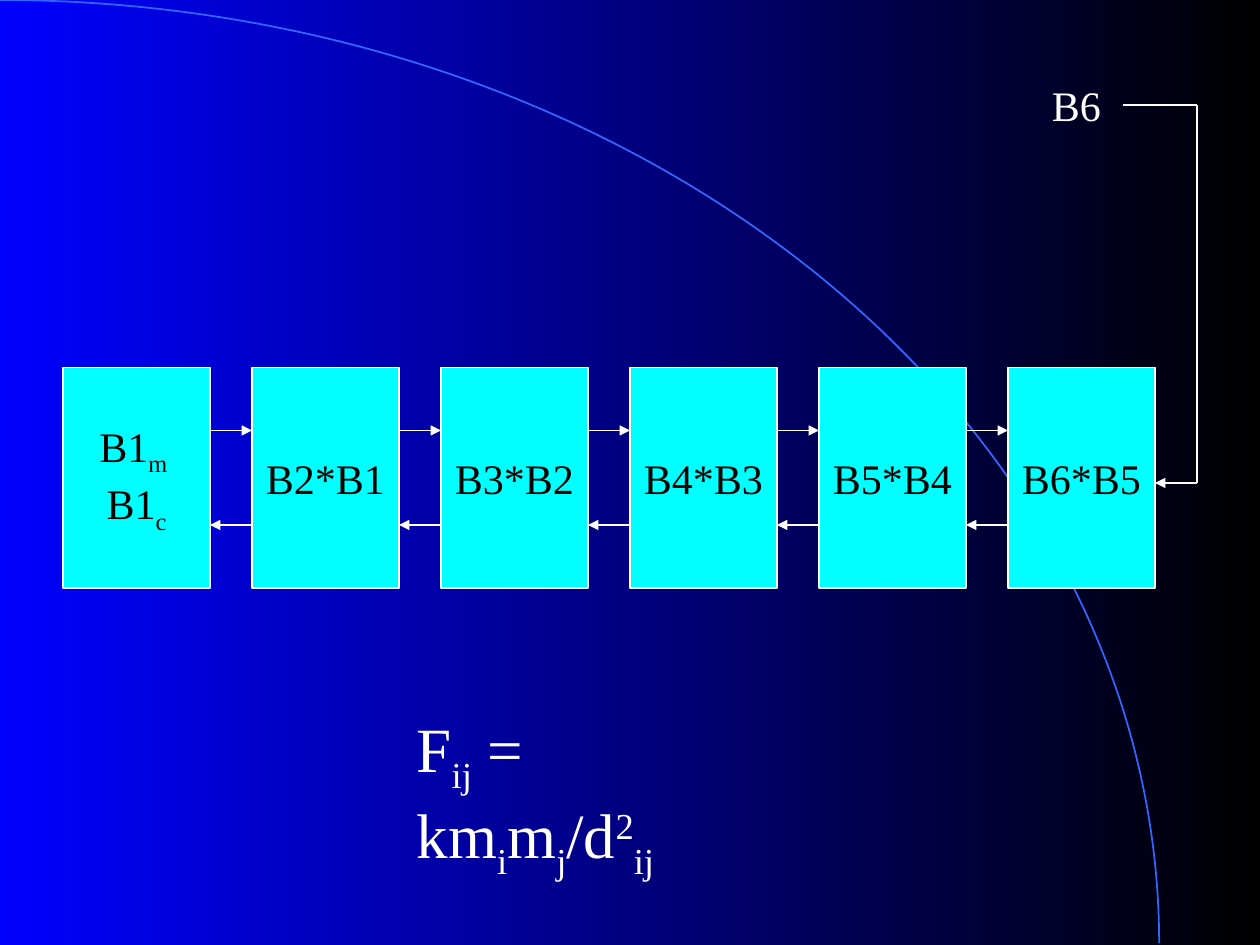
from dataclasses import dataclass

from lxml import etree
from pptx import Presentation
from pptx.dml.color import RGBColor
from pptx.enum.shapes import MSO_CONNECTOR, MSO_SHAPE
from pptx.enum.text import MSO_ANCHOR, MSO_AUTO_SIZE, PP_ALIGN
from pptx.oxml.ns import qn
from pptx.util import Pt

RECT, ARC = MSO_SHAPE.RECTANGLE, MSO_SHAPE.ARC
STRAIGHT = MSO_CONNECTOR.STRAIGHT
LEFT, CENTER = PP_ALIGN.LEFT, PP_ALIGN.CENTER
TOP, MIDDLE = MSO_ANCHOR.TOP, MSO_ANCHOR.MIDDLE
FIT = MSO_AUTO_SIZE.SHAPE_TO_FIT_TEXT
SUB, SUP = -25, 30


@dataclass(frozen=True)
class Theme:
    font: str = "Times New Roman"
    blue: RGBColor = RGBColor(0, 0, 255)
    black: RGBColor = RGBColor(0, 0, 0)
    white: RGBColor = RGBColor(255, 255, 255)
    cyan: RGBColor = RGBColor(0, 255, 255)
    curve: RGBColor = RGBColor(0x33, 0x66, 0xFF)
    label: float = 24
    formula: float = 36
    thin: float = 0.75


THEME = Theme()


def write(frame, lines, size, color, align=LEFT, anchor=TOP):
    """Each line is a list of (text, baseline shift in percent) runs."""
    frame.word_wrap = False
    frame.vertical_anchor = anchor
    for i, runs in enumerate(lines):
        para = frame.paragraphs[0] if i == 0 else frame.add_paragraph()
        para.alignment = align
        for text, shift in runs:
            run = para.add_run()
            run.text = text
            font = run.font
            font.name, font.size = THEME.font, Pt(size)
            font.color.rgb = color
            if shift:
                run._r.get_or_add_rPr().set("baseline", str(shift * 1000))


def add_label(slide, box, runs, size):
    shape = slide.shapes.add_textbox(*map(Pt, box))
    write(shape.text_frame, [runs], size, THEME.white)
    shape.text_frame.auto_size = FIT


def add_line(slide, start, end, arrow=False):
    line = slide.shapes.add_connector(STRAIGHT, *map(Pt, start + end))
    line.line.color.rgb = THEME.white
    line.line.width = Pt(THEME.thin)
    props = line._element.spPr
    if arrow:
        etree.SubElement(props.find(qn("a:ln")), qn("a:tailEnd"), type="triangle")
    etree.SubElement(props, qn("a:effectLst"))


def add_back(slide, box):
    """Blue to black gradient with a quarter ellipse filling the box."""
    fill = slide.background.fill
    fill.gradient()
    fill.gradient_angle = 0
    for stop, color in zip(fill.gradient_stops, (THEME.blue, THEME.black)):
        stop.color.rgb = color
    x, y, w, h = box
    arc = slide.shapes.add_shape(ARC, *map(Pt, (x - w, y, 2 * w, 2 * h)))
    arc.shadow.inherit = False
    arc.fill.background()
    arc.line.color.rgb = THEME.curve
    arc.line.width = Pt(1)


def add_chain(slide, box, blocks, gap):
    """A row of equal blocks, with arrows both ways across each gap."""
    x, y, w, h = box
    wide = (w - gap * (len(blocks) - 1)) / len(blocks)
    for i, lines in enumerate(blocks):
        left = x + i * (wide + gap)
        block = slide.shapes.add_shape(RECT, *map(Pt, (left, y, wide, h)))
        block.shadow.inherit = False
        block.fill.solid()
        block.fill.fore_color.rgb = THEME.cyan
        block.line.color.rgb = THEME.white
        block.line.width = Pt(THEME.thin)
        write(block.text_frame, lines, THEME.label, THEME.black, CENTER, MIDDLE)
        if i:
            there, back = y + 36, y + 90
            add_line(slide, (left - gap, there), (left, there), True)
            add_line(slide, (left, back), (left - gap, back), True)


def add_feed(slide, box, tip):
    """A bent path along the top and right of the box, ending at x = tip."""
    x, y, w, h = box
    right, base = x + w, y + h
    add_line(slide, (x, y), (right, y))
    add_line(slide, (right, y), (right, base))
    add_line(slide, (right, base), (tip, base), True)


def main():
    deck = Presentation()
    deck.slide_width, deck.slide_height = Pt(720), Pt(540)
    slide = deck.slides.add_slide(deck.slide_layouts[6])

    add_back(slide, (0, 0, 662.4, 539))

    # Chain of blocks
    first = [[("B1", 0), ("m ", SUB)], [("B1", 0), ("c", SUB)]]
    rest = [[[(f"B{n}*B{n - 1}", 0)]] for n in range(2, 7)]
    add_chain(slide, (36, 210, 624, 126), [first] + rest, 24)

    # Outside input
    add_feed(slide, (642, 60, 42, 216), 660)
    add_label(slide, (594, 42, 42.5, 36), [("B6", 0)], THEME.label)

    # Formula
    formula = [("F", 0), ("ij", SUB), (" = km", 0), ("i", SUB), ("m", 0),
               ("j", SUB), ("/d", 0), ("2", SUP), ("ij", SUB)]
    add_label(slide, (231, 402, 219.6, 57), formula, THEME.formula)

    deck.save("out.pptx")


if __name__ == "__main__":
    main()
